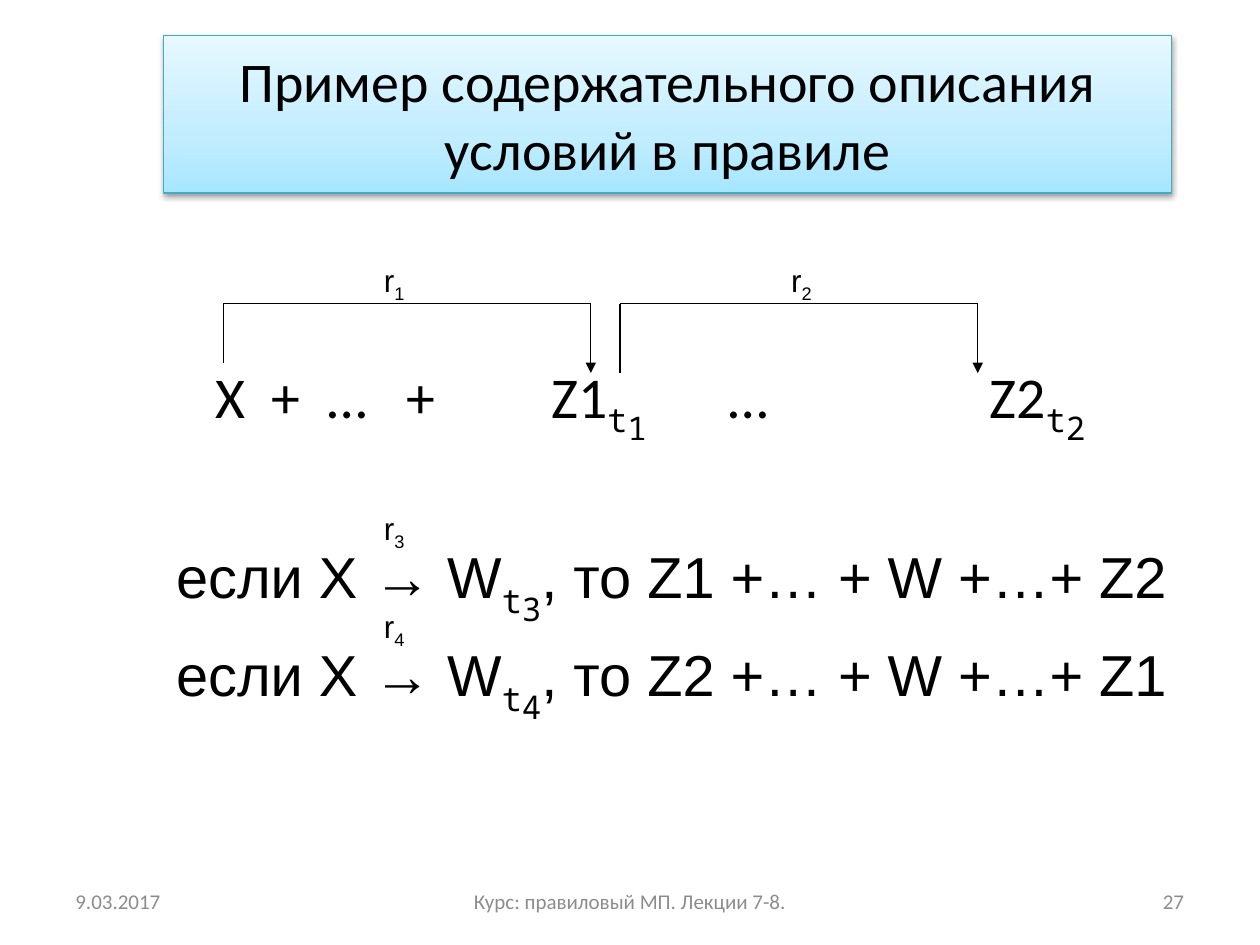
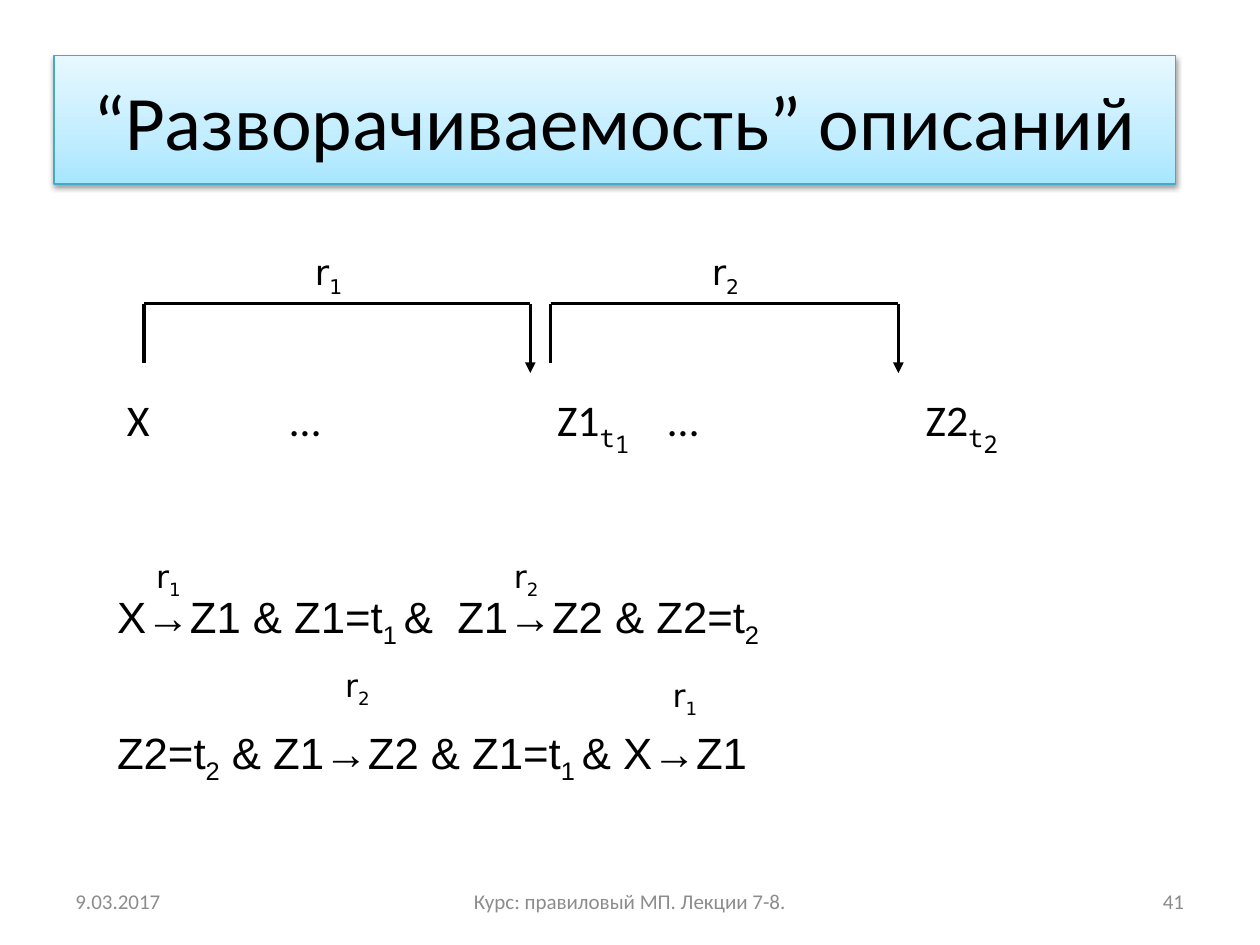
"""Build two lecture slides about condition descriptions in translation rules."""
from copy import deepcopy

from lxml import etree
from pptx import Presentation
from pptx import util as u
from pptx.dml.color import RGBColor
from pptx.enum import shapes, text
from pptx.oxml.ns import qn

BLACK = RGBColor(0x00, 0x00, 0x00)
FOOTER_GRAY = RGBColor(0x8C, 0x8C, 0x8C)
TITLE_LINE = RGBColor(0x46, 0xAA, 0xC5)
TITLE_STOPS = (
    (0, RGBColor(0xA7, 0xE6, 0xFF)),
    (0.35, RGBColor(0xC1, 0xED, 0xFF)),
    (1, RGBColor(0xE7, 0xF8, 0xFF)),
)
LEFT, CENTER, RIGHT = text.PP_ALIGN.LEFT, text.PP_ALIGN.CENTER, text.PP_ALIGN.RIGHT
TOP, MIDDLE = text.MSO_ANCHOR.TOP, text.MSO_ANCHOR.MIDDLE
SUBSCRIPT = {"baseline": -25}
DATE = "9.03.2017"
COURSE = "Курс: правиловый МП. Лекции 7-8."
SHORT_LEG, LONG_LEG = 1.19, 1.4


def to_cm(box):
    """Turn a box of centimetre numbers into lengths."""
    return [u.Cm(value) for value in box]


def add_child(parent, tag, **attributes):
    """Append a drawing element with the given attributes."""
    values = {name: str(value) for name, value in attributes.items()}
    return etree.SubElement(parent, qn(tag), values)


def write_runs(shape, runs, size, font="Calibri", color=BLACK, align=LEFT, anchor=TOP, tabs=()):
    """Write one paragraph of (text, changes) runs, with tab stops in cm."""
    frame = shape.text_frame
    frame.word_wrap = True
    frame.vertical_anchor = anchor
    paragraph = frame.paragraphs[0]
    paragraph.alignment = align
    if tabs:
        stops = add_child(paragraph._p.get_or_add_pPr(), "a:tabLst")
        for position in tabs:
            add_child(stops, "a:tab", pos=u.Cm(position), algn="l")
    for content, changes in runs:
        run = paragraph.add_run()
        run.text = content
        values = {"size": size, "name": font, **changes}
        baseline = values.pop("baseline", 0)
        values["size"] = u.Pt(values["size"])
        for name, value in values.items():
            setattr(run.font, name, value)
        run.font.color.rgb = color
        if baseline:
            run._r.get_or_add_rPr().set("baseline", str(baseline * 1000))


def add_text(slide, box, runs, size, **style):
    """Add a text box holding one paragraph."""
    write_runs(slide.shapes.add_textbox(*to_cm(box)), runs, size, **style)


def add_title(slide, box, title, size):
    """Add the shaded title band."""
    band = slide.shapes.add_shape(shapes.MSO_SHAPE.RECTANGLE, *to_cm(box))
    band.fill.gradient()
    band.fill.gradient_angle = 90
    properties = band._element.spPr
    stop_list = properties.find(".//" + qn("a:gsLst"))
    stop_list.append(deepcopy(stop_list[0]))
    for stop, (position, color) in zip(band.fill.gradient_stops, TITLE_STOPS):
        stop.position = position
        stop.color.rgb = color
    band.line.color.rgb = TITLE_LINE
    band.line.width = u.Pt(0.75)
    effects = add_child(properties, "a:effectLst")
    shadow = add_child(effects, "a:outerShdw", blurRad=u.Pt(3.1), dist=u.Pt(1.6),
                       dir=5400000, rotWithShape=0)
    add_child(add_child(shadow, "a:srgbClr", val=BLACK), "a:alpha", val=38000)
    write_runs(band, [(title, {})], size, align=CENTER, anchor=MIDDLE)


def add_footer(slide, number):
    """Add date, course name and slide number along the bottom."""
    cells = ((1.27, 5.92, DATE, LEFT), (8.68, 8.04, COURSE, CENTER),
             (18.2, 5.92, str(number), RIGHT))
    for left, width, content, align in cells:
        add_text(slide, (left, 17.65, width, 1.02), [(content, {})], 12,
                 color=FOOTER_GRAY, align=align, anchor=MIDDLE)


def add_bracket(slide, left, right, weight, start_leg=SHORT_LEG, top=6.12):
    """Draw a relation bracket whose right leg ends in an arrow."""
    corners = ((left, top + start_leg), (left, top), (right, top), (right, top + LONG_LEG))
    for start, end in zip(corners, corners[1:]):
        line = slide.shapes.add_connector(shapes.MSO_CONNECTOR.STRAIGHT, *to_cm(start + end))
        line.line.color.rgb = BLACK
        line.line.width = u.Pt(weight)
        add_child(line._element.spPr, "a:effectLst")
    add_child(line.line._get_or_add_ln(), "a:tailEnd", type="triangle")


def add_relation(slide, left, top, index, font, size=18):
    """Add a relation label such as r with its index."""
    add_text(slide, (left, top, 1.4, 1.05), [("r", {}), (index, SUBSCRIPT)], size, font=font)


def add_formula(slide, box, runs, size, font="Arial", tabs=()):
    """Add one formula line."""
    add_text(slide, box, runs, size, font=font, tabs=tabs)


def type_index(index, size):
    """Return the runs of a subscript t with its own lower index."""
    mono = {"name": "Noto Sans Mono"}
    return [("t", {**mono, **SUBSCRIPT}),
            (index, {**mono, "baseline": -40, "size": size - 1})]


def subscripted(*parts):
    """Return runs that alternate between normal and subscript text."""
    return [(part, SUBSCRIPT if order % 2 else {}) for order, part in enumerate(parts)]


def build_rule_slide(slide):
    """Build the slide with the rule conditions."""
    size = 33
    add_title(slide, (3.3, 0.71, 20.32, 3.18), "Пример содержательного описания условий в правиле", 32)
    sequence = [("Х\t+\t…\t+\tZ1", {}), *type_index("1", size),
                ("\t…\tZ2", {}), *type_index("2", size)]
    add_formula(slide, (4.1, 7.14, 20, 1.8), sequence, size, "Calibri",
                tabs=(1.13, 2.26, 3.84, 6.76, 10.34, 15.6))
    rules = (("3", ", то Z1 +… + W +…+ Z2", 10.78), ("4", ", то Z2 +… + W +…+ Z1", 12.76))
    for index, result, top in rules:
        runs = [("если X → W", {}), *type_index(index, size), (result, {})]
        add_formula(slide, (3.3, top, 21.5, 1.8), runs, size)
    add_bracket(slide, 4.5, 11.91, 0.75)
    add_bracket(slide, 12.5, 19.71, 0.75, start_leg=LONG_LEG)
    for left, top, index in ((7.49, 5.13, "1"), (15.7, 5.13, "2"),
                             (7.49, 10.13, "3"), (7.49, 12.12, "4")):
        add_relation(slide, left, top, index, "Arial")
    add_footer(slide, 27)


def build_unfolding_slide(slide):
    """Build the slide with the reversible descriptions."""
    size = 25
    add_title(slide, (1.09, 1.12, 22.61, 2.59), "“Разворачиваемость” описаний", 44)
    sequence = [("Х\t…\tZ1", {}), *type_index("1", size),
                ("\t…\tZ2", {}), *type_index("2", size)]
    add_formula(slide, (2.31, 7.79, 21, 1.4), sequence, size, "Calibri",
                tabs=(3.29, 8.67, 10.91, 16.1))
    forward = subscripted("X→Z1 & Z1=t", "1 ", "&\tZ1→Z2 & Z2=t", "2")
    backward = subscripted("Z2=t", "2", " & Z1→Z2 & Z1=t", "1 ", "& X→Z1")
    add_formula(slide, (2.11, 11.76, 21.8, 1.4), forward, size, tabs=(6.86,))
    add_formula(slide, (2.11, 14.5, 21.8, 1.4), backward, size)
    for left, right in ((2.9, 10.69), (11.1, 18.11)):
        add_bracket(slide, left, right, 2)
    for left, index in ((6.1, "1"), (14.1, "2")):
        add_relation(slide, left, 4.93, index, "DejaVu Sans", 20)
    for left, top, index in ((2.9, 11.1, "1"), (10.11, 11.1, "2"),
                             (13.31, 13.51, "1"), (6.71, 13.31, "2")):
        add_relation(slide, left, top, index, "DejaVu Sans")
    add_footer(slide, 41)


def main():
    """Create and save the presentation."""
    presentation = Presentation()
    presentation.slide_width, presentation.slide_height = u.Cm(25.4), u.Cm(19.05)
    for build in (build_rule_slide, build_unfolding_slide):
        build(presentation.slides.add_slide(presentation.slide_layouts[6]))
    presentation.save("out.pptx")


if __name__ == "__main__":
    main()
